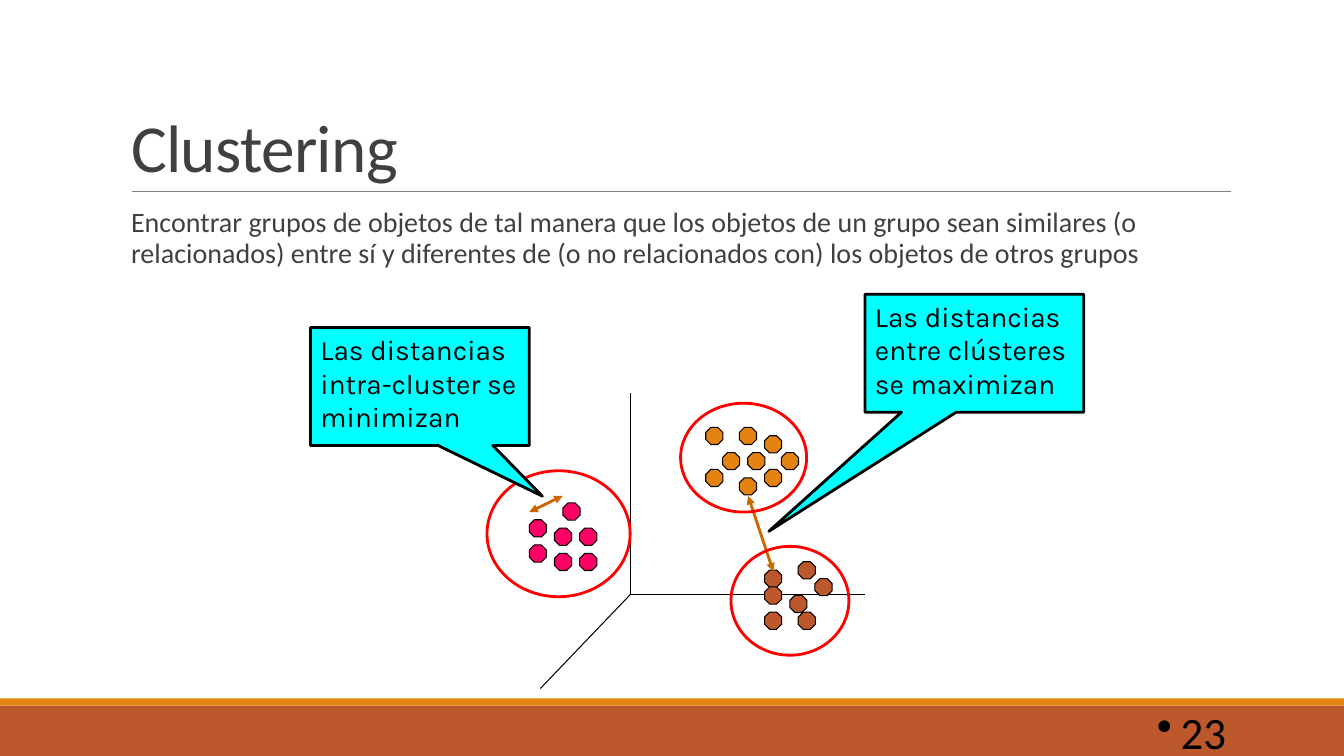
from pptx import Presentation
from pptx.dml.color import RGBColor
from pptx.enum.shapes import MSO_CONNECTOR, MSO_SHAPE
from pptx.enum.text import MSO_ANCHOR, MSO_AUTO_SIZE, PP_ALIGN
from pptx.oxml.ns import qn
from pptx.util import Inches, Pt
from lxml.etree import SubElement

HUES = {
    "ink": "000000", "text": "404040", "rule": "808080", "rust": "BD582C",
    "gold": "E48312", "pink": "FF0066", "red": "FF0000", "cyan": "00FFFF",
    "arrow": "CC6600",
}
AIM = (
    "Encontrar grupos de objetos de tal manera que los objetos de un grupo sean "
    "similares (o relacionados) entre sí y diferentes de (o no relacionados con) "
    "los objetos de otros grupos"
)
DOTS = {
    "gold": [(86, 54), (89, 54), (88, 51), (88, 57), (93, 54), (91, 52),
             (84, 51), (91, 56), (84, 56)],
    "pink": [(63, 62), (66, 63), (66, 66), (69, 63), (67, 60), (69, 66), (63, 65)],
    "rust": [(91, 68), (97, 69), (94, 71), (91, 73), (95, 73), (91, 70), (95, 67)],
}
RINGS = [(4.83, 4.67, 1.42, 1.25), (6.75, 4, 1.25, 1.08), (7.25, 5.42, 1.17, 1.08)]
AXES = [(6.25, 3.9), (8.58, 5.9), (5.36, 6.83)]
STEP = 1 / 12


class Deck:
    """Holds the style and the current slide, and draws each kind of element."""

    def __init__(self):
        self.show = Presentation()
        self.put(self.show, slide_width=Inches(13.33), slide_height=Inches(7.5))
        self.slide = self.show.slides.add_slide(self.show.slide_layouts[1])
        self.shapes = self.slide.shapes

    def put(self, item, **vals):
        for name, val in vals.items():
            setattr(item, name, val)

    def hue(self, name):
        return RGBColor.from_string(HUES[name])

    def place(self, item, box):
        names = ("left", "top", "width", "height")
        self.put(item, **{n: Inches(v) for n, v in zip(names, box)})

    def label(self, item, text, size, hue="text", font="Calibri", frame=None, para=None):
        body = item.text_frame
        self.put(body, word_wrap=True, auto_size=MSO_AUTO_SIZE.NONE, **(frame or {}))
        line = body.paragraphs[0]
        self.put(line, **{"alignment": PP_ALIGN.LEFT, **(para or {})})
        run = line.add_run()
        run.text = text
        self.put(run.font, name=font, size=Pt(size))
        run.font.color.rgb = self.hue(hue)
        return line, run

    def title(self, text):
        item = self.shapes.title
        self.place(item, (1.2, 0.31, 11, 1.59))
        run = self.label(item, text, 48, frame={"vertical_anchor": MSO_ANCHOR.BOTTOM},
                         para={"line_spacing": 0.85})[1]
        run.font._element.set("spc", "-50")

    def body(self, text):
        item = self.slide.placeholders[1]
        self.place(item, (1.2, 2.02, 11, 4.4))
        frame = {"margin_left": 0, "margin_right": 0, "vertical_anchor": MSO_ANCHOR.TOP}
        para = {"line_spacing": 0.9, "space_before": Pt(0), "space_after": Pt(2)}
        line = self.label(item, text, 20, frame=frame, para=para)[0]
        props = line._p.get_or_add_pPr()
        props.set("marL", str(Inches(0.1)))
        props.set("indent", "0")
        SubElement(props, qn("a:buNone"))

    def page(self, text):
        item = self.shapes.add_textbox(*map(Inches, (10.83, 7.06, 1.43, 0.4)))
        line = self.label(item, text, 32, "ink", para={"alignment": PP_ALIGN.RIGHT},
                          frame={"vertical_anchor": MSO_ANCHOR.MIDDLE})[0]
        SubElement(line._p.get_or_add_pPr(), qn("a:buChar"), char="•")

    def shape(self, kind, box, fill=None, edge=None, width=0.75):
        item = self.shapes.add_shape(kind, *map(Inches, box))
        item.shadow.inherit = False
        if fill:
            item.fill.solid()
            item.fill.fore_color.rgb = self.hue(fill)
        else:
            item.fill.background()
        if edge:
            item.line.color.rgb = self.hue(edge)
            item.line.width = Pt(width)
        else:
            item.line.fill.background()
        return item

    def line(self, start, end, hue="ink", width=0.75, heads=False):
        item = self.shapes.add_connector(
            MSO_CONNECTOR.STRAIGHT, *map(Inches, start + end))
        item.line.color.rgb = self.hue(hue)
        item.line.width = Pt(width)
        if heads:
            for tag in ("a:headEnd", "a:tailEnd"):
                SubElement(item.line._ln, qn(tag), type="triangle")
        SubElement(item._element.spPr, qn("a:effectLst"))

    def callout(self, spot, text, tip):
        item = self.shape(MSO_SHAPE.RECTANGULAR_CALLOUT, spot + (2.17, 1.17),
                          "cyan", "ink", 2)
        item.adjustments[0], item.adjustments[1] = tip
        self.label(item, text, 20, "ink", "Karla",
                   frame={"vertical_anchor": MSO_ANCHOR.TOP})


def main():
    deck = Deck()
    deck.shape(MSO_SHAPE.RECTANGLE, (0, 7, 13.33, 0.5), "rust")
    deck.shape(MSO_SHAPE.RECTANGLE, (0, 6.93, 13.33, 0.07), "gold")
    deck.line((1.31, 1.9), (12.21, 1.9), "rule", 0.5)
    deck.title("Clustering")
    deck.body(AIM)
    deck.page("23")
    for end in AXES:
        deck.line((6.25, 5.9), end)
    for hue, spots in DOTS.items():
        for col, row in spots:
            box = (col * STEP, row * STEP - 0.01, 0.17, 0.17)
            deck.shape(MSO_SHAPE.OCTAGON, box, hue, "ink")
    deck.line((7.67, 5.67), (7.42, 4.92), "arrow", 2, True)
    deck.callout((8.58, 2.92), "Las distancias entre clústeres se maximizan",
                 (-0.94, 1.51))
    for box in RINGS:
        deck.shape(MSO_SHAPE.OVAL, box, edge="red", width=2)
    deck.line((5.25, 5.08), (5.58, 4.92), "arrow", 2, True)
    deck.callout((3.08, 3.25), "Las distancias intra-cluster se minimizan",
                 (0.56, 0.93))
    deck.show.save("out.pptx")


if __name__ == "__main__":
    main()
